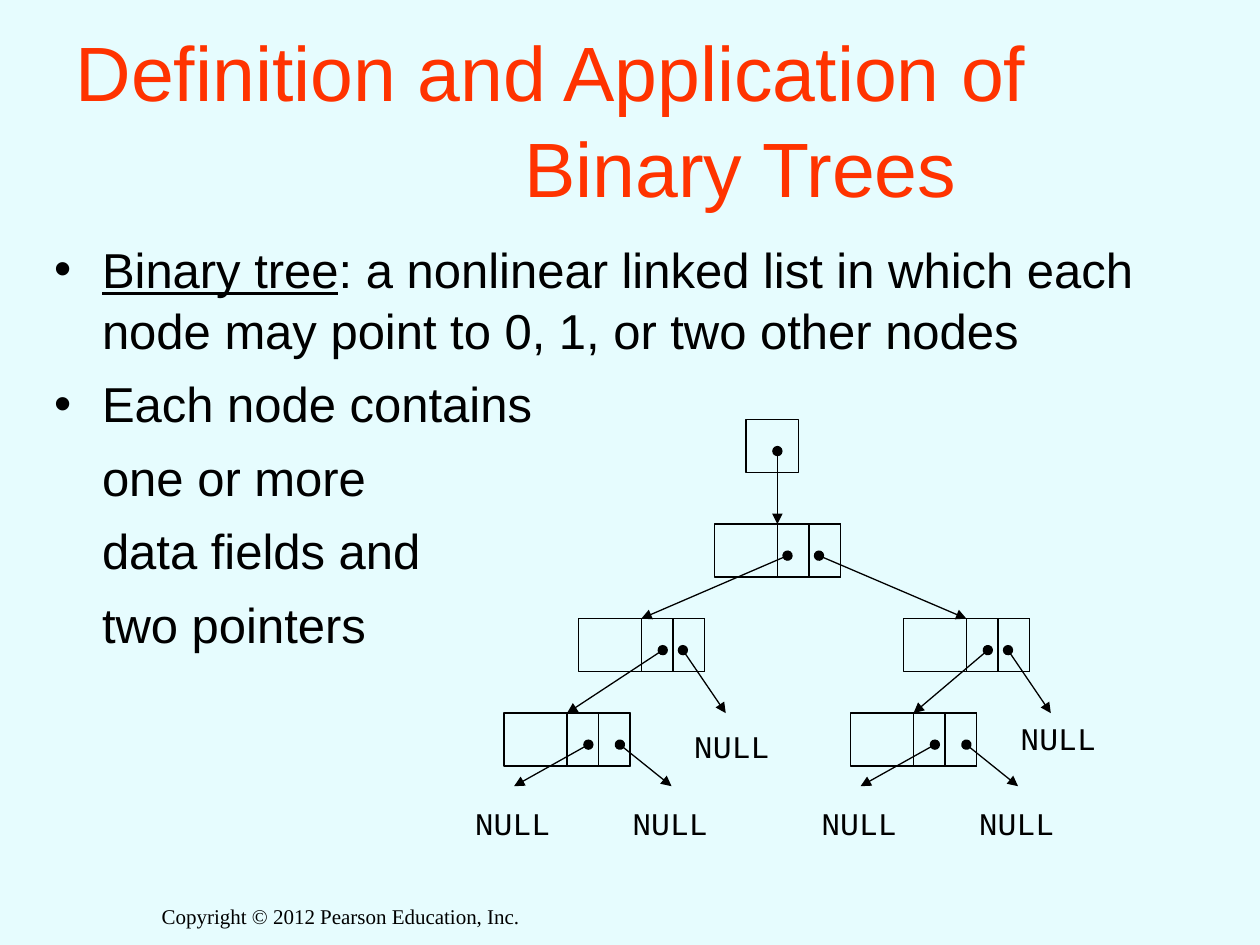
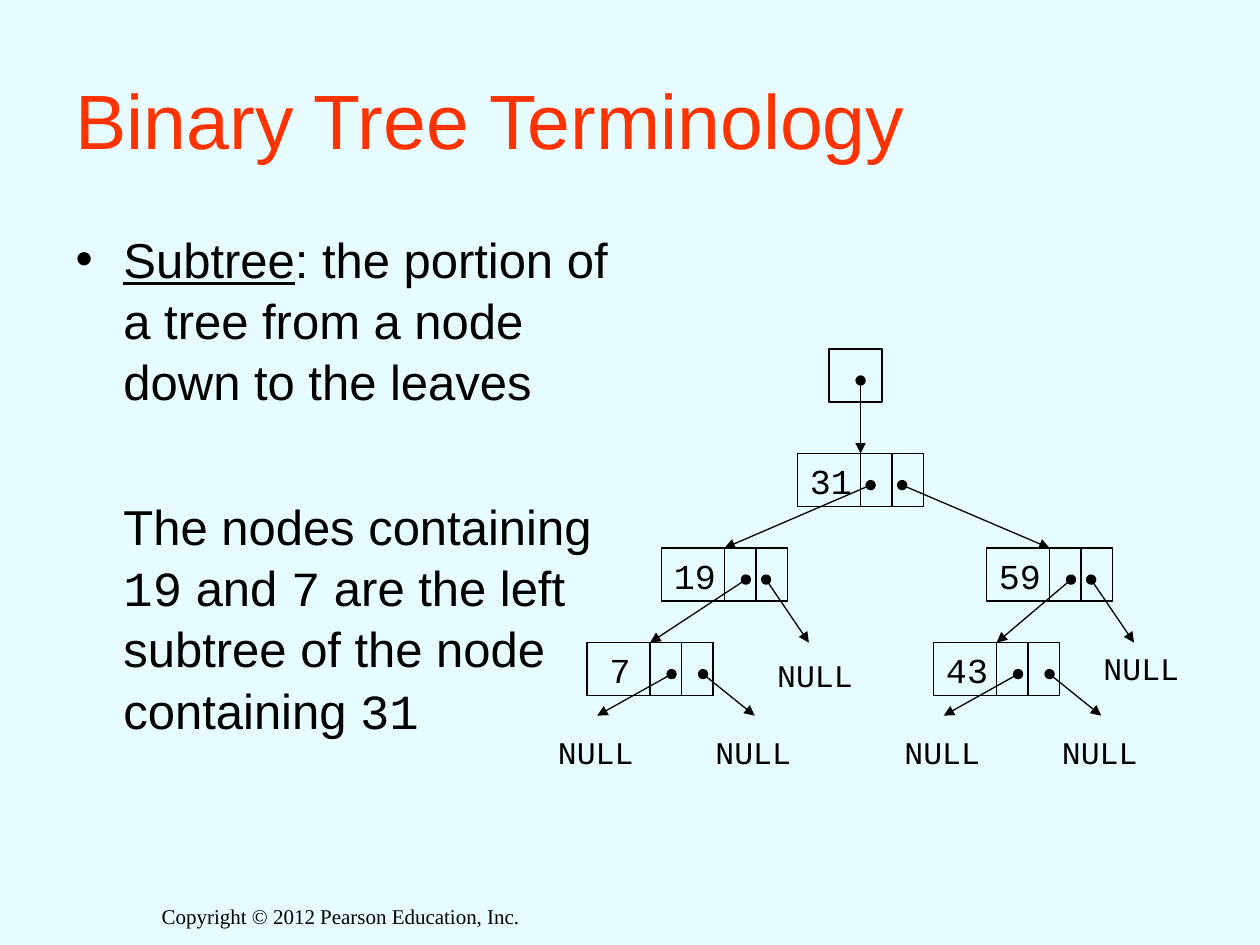
from dataclasses import dataclass
from typing import NamedTuple, Optional

import lxml.etree
import pptx
import pptx.dml.color
import pptx.enum.shapes
import pptx.enum.text
import pptx.oxml.ns
import pptx.shapes.autoshape
import pptx.shapes.shapetree
import pptx.slide
import pptx.text.text
import pptx.util

Inches = pptx.util.Inches
Pt = pptx.util.Pt
Align = pptx.enum.text.PP_ALIGN
Anchor = pptx.enum.text.MSO_ANCHOR
qn = pptx.oxml.ns.qn


def rgb(code: str) -> pptx.dml.color.RGBColor:
    return pptx.dml.color.RGBColor.from_string(code)


@dataclass(frozen=True)
class Theme:
    ground: str = "E6FCFE"
    ink: str = "000000"
    accent: str = "FF3300"
    sans: str = "Arial"
    mono: str = "Courier New"
    serif: str = "Times New Roman"
    title: float = 44
    body: float = 28
    value: float = 20
    label: float = 18
    footer: float = 12
    line: float = 0.75
    gap: float = 7
    leading: float = 1.04
    hang: float = 0.38


THEME = Theme()


class Span(NamedTuple):
    text: str
    font: Optional[str] = None
    under: bool = False


class Para(NamedTuple):
    spans: list[Span]
    bullet: bool = True
    before: float = THEME.gap


class Box(NamedTuple):
    left: float
    top: float
    width: float
    height: float

    def emu(self) -> list[int]:
        return [Inches(side) for side in self]


class Node(NamedTuple):
    """Place of a tree node, measured from the corner of the head box."""
    left: float
    top: float


class Link(NamedTuple):
    parent: str
    start: float
    child: str


class Null(NamedTuple):
    """Pointer to NULL; all places are measured from its node's corner."""
    node: str
    start: float
    tip: tuple[float, float]
    label: tuple[float, float]


NODE_W, NODE_H, CELL_W = 1, 0.42, 0.25
PORT_Y = 0.25
NODES = {
    "root": Node(-0.25, 0.83),
    "left": Node(-1.33, 1.58),
    "right": Node(1.25, 1.58),
    "outer": Node(-1.92, 2.33),
    "inner": Node(0.83, 2.33),
}
LINKS = [
    Link("root", 0.58, "left"),
    Link("root", 0.83, "right"),
    Link("left", 0.67, "outer"),
    Link("right", 0.67, "inner"),
]
NULLS = [
    Null("left", 0.83, (1.17, 0.75), (0.82, 0.81)),
    Null("right", 0.83, (1.17, 0.75), (0.83, 0.75)),
]
for leaf in ("outer", "inner"):
    NULLS += [
        Null(leaf, 0.67, (0.08, 0.58), (-0.33, 0.67)),
        Null(leaf, 0.92, (1.33, 0.58), (0.92, 0.67)),
    ]


def write(frame: pptx.text.text.TextFrame, paras: list[Para], *,
          size: float, font: str = THEME.sans, color: str = THEME.ink,
          align: Align = Align.LEFT, anchor: Anchor = Anchor.TOP,
          wrap: bool = True, leading: float = 1,
          margin: Optional[float] = None, indent: float = 0) -> None:
    """Fill a frame; margin and indent, in inches, apply where given."""
    frame.word_wrap = wrap
    frame.auto_size = pptx.enum.text.MSO_AUTO_SIZE.NONE
    frame.vertical_anchor = anchor
    for i, item in enumerate(paras):
        para = frame.paragraphs[0] if i == 0 else frame.add_paragraph()
        props = para._p.get_or_add_pPr()
        if margin is not None:
            props.set("marL", str(Inches(margin)))
            props.set("indent", str(Inches(indent if item.bullet else 0)))
        if not item.bullet:
            lxml.etree.SubElement(props, qn("a:buNone"))
        para.alignment = align
        para.line_spacing = leading
        para.space_before = Pt(item.before if i else 0)
        for span in item.spans:
            run = para.add_run()
            run.text = span.text
            run.font.name = span.font or font
            run.font.size = Pt(size)
            run.font.color.rgb = rgb(color)
            run.font.underline = span.under


def label(shapes: pptx.shapes.shapetree.GroupShapes, text: str, box: Box,
          **style) -> None:
    write(shapes.add_textbox(*box.emu()).text_frame,
          [Para([Span(text)])], **style)


def cell(shapes: pptx.shapes.shapetree.GroupShapes,
         box: Box) -> pptx.shapes.autoshape.Shape:
    shape = shapes.add_shape(
        pptx.enum.shapes.MSO_SHAPE.RECTANGLE, *box.emu())
    shape.shadow.inherit = False
    shape.fill.background()
    shape.line.color.rgb = rgb(THEME.ink)
    shape.line.width = Pt(THEME.line)
    return shape


def arrow(shapes: pptx.shapes.shapetree.GroupShapes,
          start: tuple[float, float], end: tuple[float, float],
          target: Optional[pptx.shapes.autoshape.Shape] = None) -> None:
    """Draw a pointer, joined to the top of the target if there is one."""
    line = shapes.add_connector(
        pptx.enum.shapes.MSO_CONNECTOR.STRAIGHT,
        *[Inches(place) for place in (*start, *end)])
    if target is not None:
        line.end_connect(target, 0)
    line.line.color.rgb = rgb(THEME.ink)
    line.line.width = Pt(THEME.line)
    stroke = line.line._get_or_add_ln()
    for tag, kind in (("a:headEnd", "oval"), ("a:tailEnd", "triangle")):
        lxml.etree.SubElement(stroke, qn(tag), type=kind)
    lxml.etree.SubElement(line._element.spPr, qn("a:effectLst"))


def tree(slide: pptx.slide.Slide, x: float, y: float,
         values: dict[str, str]) -> None:
    """Draw the tree with its head box at x, y."""
    shapes = slide.shapes.add_group_shape().shapes
    cell(shapes, Box(x, y, NODE_H, NODE_H))
    spots = {key: (x + node.left, y + node.top)
             for key, node in NODES.items()}
    frames = {}
    for key, (left, top) in spots.items():
        frames[key] = cell(shapes, Box(left, top, NODE_W, NODE_H))
        for k in (1, 2):
            cell(shapes, Box(left + NODE_W - k * CELL_W, top,
                             CELL_W, NODE_H))
        if key in values:
            text = values[key]
            shift = 0.08 if len(text) == 1 else 0
            label(shapes, text,
                  Box(left + shift, top, 0.2 + 0.17 * len(text), 0.44),
                  size=THEME.value, font=THEME.mono, wrap=False)

    root = spots["root"]
    arrow(shapes, (x + 0.25, y + PORT_Y), (root[0] + NODE_W / 2, root[1]),
          frames["root"])
    for link in LINKS:
        left, top = spots[link.parent]
        goal = spots[link.child]
        arrow(shapes, (left + link.start, top + PORT_Y),
              (goal[0] + NODE_W / 2, goal[1]), frames[link.child])
    for null in NULLS:
        left, top = spots[null.node]
        arrow(shapes, (left + null.start, top + PORT_Y),
              (left + null.tip[0], top + null.tip[1]))
        label(shapes, "NULL",
              Box(left + null.label[0], top + null.label[1], 0.8, 0.4),
              size=THEME.label, font=THEME.mono, wrap=False)


def place(shape: pptx.shapes.autoshape.Shape, box: Box) -> None:
    shape.left, shape.top, shape.width, shape.height = box.emu()


def page(deck: pptx.presentation.Presentation, title: str, body: Box,
         paras: list[Para], turn: float = 0) -> pptx.slide.Slide:
    """Add a slide; turn indents the wrapped lines of its title."""
    slide = deck.slides.add_slide(deck.slide_layouts[1])
    head, text = slide.placeholders
    place(head, Box(0.5, 0.3, 9, 1.25))
    write(head.text_frame, [Para([Span(title)])], size=THEME.title,
          color=THEME.accent, anchor=Anchor.MIDDLE, leading=THEME.leading,
          margin=turn, indent=-turn)
    place(text, body)
    write(text.text_frame, paras, size=THEME.body, leading=THEME.leading,
          margin=THEME.hang, indent=-THEME.hang)
    label(slide.shapes, "Copyright © 2012 Pearson Education, Inc.",
          Box(1.08, 7.12, 3.25, 0.38), size=THEME.footer, font=THEME.serif,
          align=Align.CENTER)
    return slide


def main() -> None:
    deck = pptx.Presentation()
    deck.slide_width, deck.slide_height = Inches(10), Inches(7.5)
    ground = deck.slide_master.background.fill
    ground.solid()
    ground.fore_color.rgb = rgb(THEME.ground)

    lines = ["one or more", "data fields and", "two pointers"]
    slide = page(
        deck, "Definition and Application of Binary Trees",
        Box(0.33, 1.83, 9.17, 4.58),
        [Para([Span("Binary tree", under=True),
               Span(": a nonlinear linked list in which each node may "
                    "point to 0, 1, or two other nodes")]),
         Para([Span("Each node contains")]),
         *[Para([Span(line)], bullet=False) for line in lines]],
        turn=3.56)
    tree(slide, 5.92, 3.33, {})

    slide = page(
        deck, "Binary Tree Terminology", Box(0.5, 1.75, 4.54, 4.5),
        [Para([Span("Subtree", under=True),
               Span(": the portion of a tree from a node down to the "
                    "leaves")]),
         Para([Span("The nodes containing "), Span("19", THEME.mono),
               Span(" and "), Span("7", THEME.mono),
               Span(" are the left subtree of the node containing "),
               Span("31", THEME.mono)], bullet=False, before=48)])
    tree(slide, 6.58, 2.77, {"root": "31", "left": "19", "right": "59",
                             "outer": "7", "inner": "43"})
    deck.save("out.pptx")


if __name__ == "__main__":
    main()
